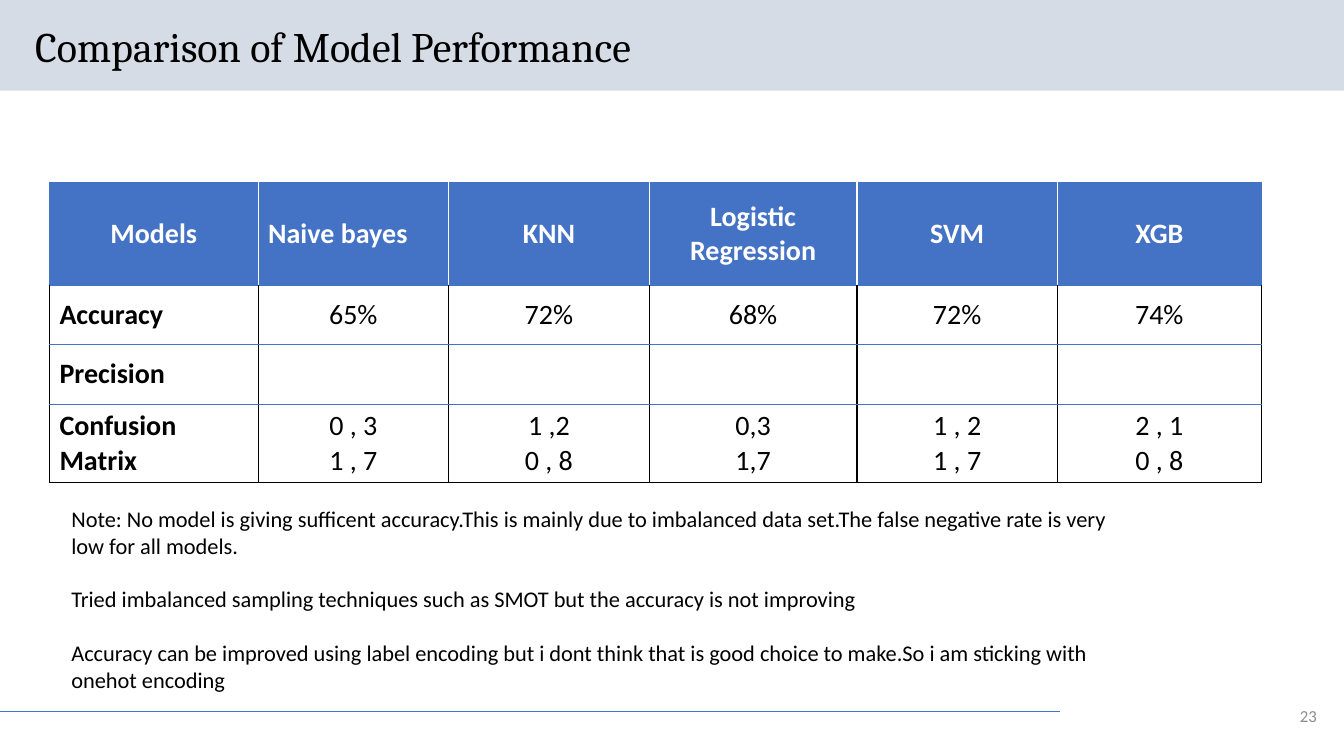
"""Build the slide that compares the performance of the models."""
from dataclasses import dataclass

from lxml import etree
from pptx import Presentation
from pptx.dml.color import RGBColor
from pptx.enum.shapes import MSO_CONNECTOR, MSO_SHAPE
from pptx.enum.text import MSO_ANCHOR, PP_ALIGN
from pptx.oxml.ns import qn
from pptx.util import Inches, Pt

BLACK = RGBColor(0x00, 0x00, 0x00)
WHITE = RGBColor(0xFF, 0xFF, 0xFF)
BLUE = RGBColor(0x44, 0x72, 0xC4)
BAND_GREY = RGBColor(0xD6, 0xDC, 0xE5)
NUMBER_GREY = RGBColor(0x8C, 0x8C, 0x8C)
LEFT, CENTER, RIGHT = PP_ALIGN.LEFT, PP_ALIGN.CENTER, PP_ALIGN.RIGHT
TOP, MIDDLE = MSO_ANCHOR.TOP, MSO_ANCHOR.MIDDLE
RECTANGLE, STRAIGHT = MSO_SHAPE.RECTANGLE, MSO_CONNECTOR.STRAIGHT

COLUMN_WIDTHS = (2.07, 1.89, 1.99, 2.06, 1.99, 2.02)


@dataclass
class TableRow:
    label: str
    values: tuple[str, ...]
    height: float


@dataclass
class TextBox:
    paragraphs: tuple[str, ...]
    left: float
    top: float
    width: float
    height: float
    format: dict


ROWS = (
    TableRow("Models", ("Naive bayes", "KNN", "Logistic Regression", "SVM", "XGB"), 1.02),
    TableRow("Accuracy", ("65%", "72%", "68%", "72%", "74%"), 0.59),
    TableRow("Precision", ("",) * 5, 0.59),
    TableRow(
        "Confusion Matrix",
        ("0 , 3\n1 , 7", "1 ,2\n0 , 8", "0,3\n1,7", "1 , 2\n1 , 7", "2 , 1\n0 , 8"),
        0.77,
    ),
)

NOTES = (
    "Note: No model is giving sufficent accuracy.This is mainly due to imbalanced data set."
    "The false negative rate is very low for all models.",
    "Tried imbalanced sampling techniques such as SMOT but the accuracy is not improving",
    "Accuracy can be improved using label encoding but i dont think that is good choice to make."
    "So i am sticking with onehot encoding",
)

TEXT_BOXES = (
    TextBox(("Comparison of Model Performance",), 0.25, 0.21, 11.5, 0.56,
            dict(size=30, font="Cambria", anchor=MIDDLE, line_spacing=0.9)),
    TextBox(("23",), 12.73, 6.94, 0.43, 0.32,
            dict(size=12, color=NUMBER_GREY, align=RIGHT, anchor=MIDDLE)),
    TextBox(NOTES, 0.61, 4.96, 10.77, 1.98, dict(size=16, gap=19.2)),
)


def write_text(holder, paragraphs, *, size: float, font: str = "Calibri",
               color: RGBColor = BLACK, bold: bool = False, align=LEFT, anchor=TOP,
               line_spacing: float = 1.0, gap: float = 0) -> None:
    frame = holder.text_frame
    frame.word_wrap = True
    holder_anchor = holder if hasattr(holder, "vertical_anchor") else frame
    holder_anchor.vertical_anchor = anchor
    for index, text in enumerate(paragraphs):
        para = frame.add_paragraph() if index else frame.paragraphs[0]
        para.alignment = align
        para.line_spacing = line_spacing
        if index:
            para.space_before = Pt(gap)
        para.font.size = Pt(size)
        if text:
            span = para.add_run()
            span.text = text
            span.font.name = font
            span.font.size = Pt(size)
            span.font.bold = bold
            span.font.color.rgb = color


def set_borders(cell, left: RGBColor, right: RGBColor, top: RGBColor, bottom: RGBColor) -> None:
    properties = cell._tc.get_or_add_tcPr()
    sides = {"a:lnL": left, "a:lnR": right, "a:lnT": top, "a:lnB": bottom}
    for index, (tag, color) in enumerate(sides.items()):
        border = etree.Element(qn(tag), w=str(Pt(1)))
        fill = etree.SubElement(border, qn("a:solidFill"))
        etree.SubElement(fill, qn("a:srgbClr"), val=str(color))
        properties.insert(index, border)


def add_band(page) -> None:
    band = page.shapes.add_shape(RECTANGLE, 0, 0, Inches(13.33), Inches(0.9))
    band.shadow.inherit = False
    band.fill.solid()
    band.fill.fore_color.rgb = BAND_GREY
    band.line.fill.background()


def add_footer_line(page) -> None:
    line = page.shapes.add_connector(STRAIGHT, 0, Inches(7.06), Inches(10.51), Inches(7.06))
    line.line.color.rgb = BLUE
    line.line.width = Pt(0.5)
    etree.SubElement(line._element.spPr, qn("a:effectLst"))


def add_model_table(page) -> None:
    height = sum(row.height for row in ROWS)
    table = page.shapes.add_table(
        len(ROWS), len(COLUMN_WIDTHS), Inches(0.49), Inches(1.81),
        Inches(sum(COLUMN_WIDTHS)), Inches(height)).table
    table.horz_banding = False
    for column, width in zip(table.columns, COLUMN_WIDTHS):
        column.width = Inches(width)
    last_row, last_column = len(ROWS) - 1, len(COLUMN_WIDTHS) - 1
    for row_index, row in enumerate(ROWS):
        table.rows[row_index].height = Inches(row.height)
        header = row_index == 0
        for column_index, text in enumerate((row.label, *row.values)):
            cell = table.cell(row_index, column_index)
            left_aligned = column_index == (1 if header else 0)
            write_text(cell, text.split("\n"), size=20, color=WHITE if header else BLACK,
                       bold=header or column_index == 0,
                       align=LEFT if left_aligned else CENTER, anchor=MIDDLE)
            if header:
                cell.fill.solid()
                cell.fill.fore_color.rgb = BLUE
                left = WHITE if column_index else BLUE
                right = WHITE if column_index < last_column else BLUE
            else:
                cell.fill.background()
                left = right = BLACK
            set_borders(cell, left, right, BLUE, BLACK if row_index == last_row else BLUE)


def add_text_box(page, item: TextBox) -> None:
    box = page.shapes.add_textbox(
        Inches(item.left), Inches(item.top), Inches(item.width), Inches(item.height))
    write_text(box, item.paragraphs, **item.format)


def main() -> None:
    deck = Presentation()
    deck.slide_width, deck.slide_height = Inches(13.33), Inches(7.5)
    page = deck.slides.add_slide(deck.slide_layouts[6])
    add_band(page)
    add_footer_line(page)
    add_model_table(page)
    for item in TEXT_BOXES:
        add_text_box(page, item)
    deck.save("out.pptx")


if __name__ == "__main__":
    main()
